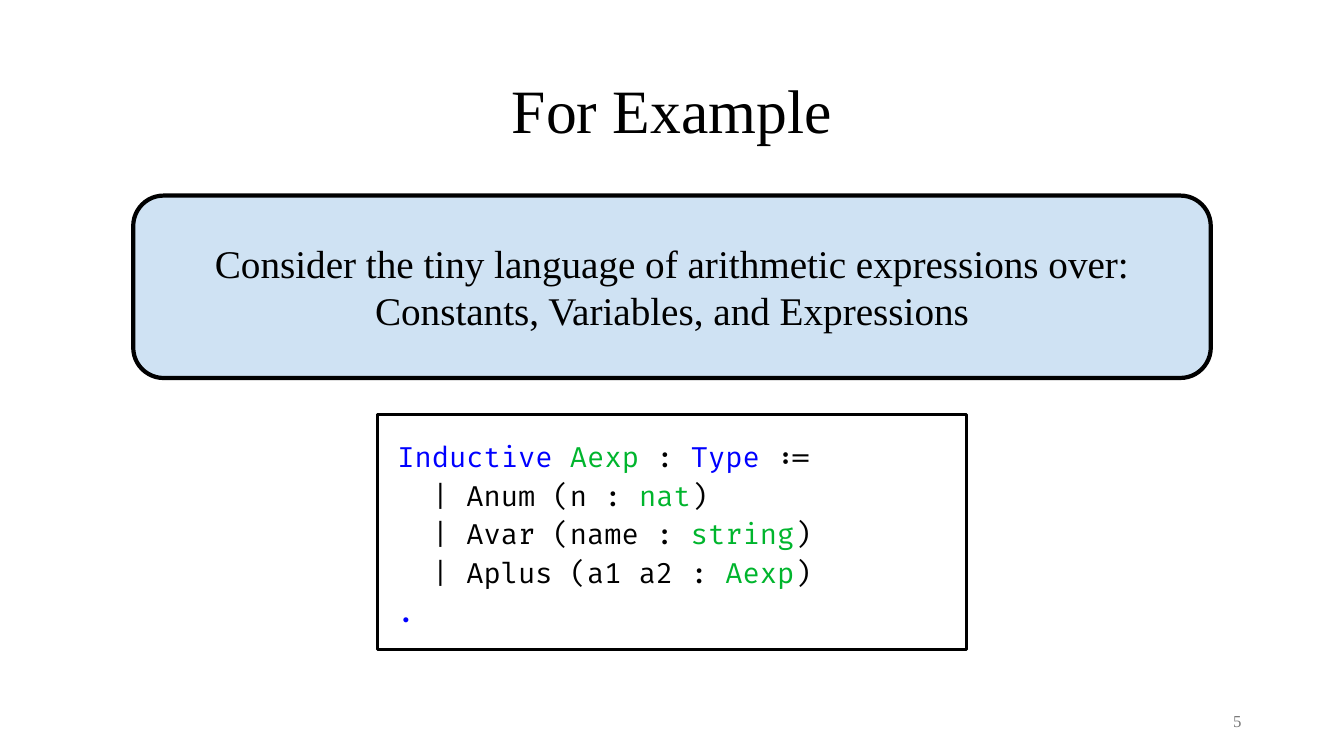
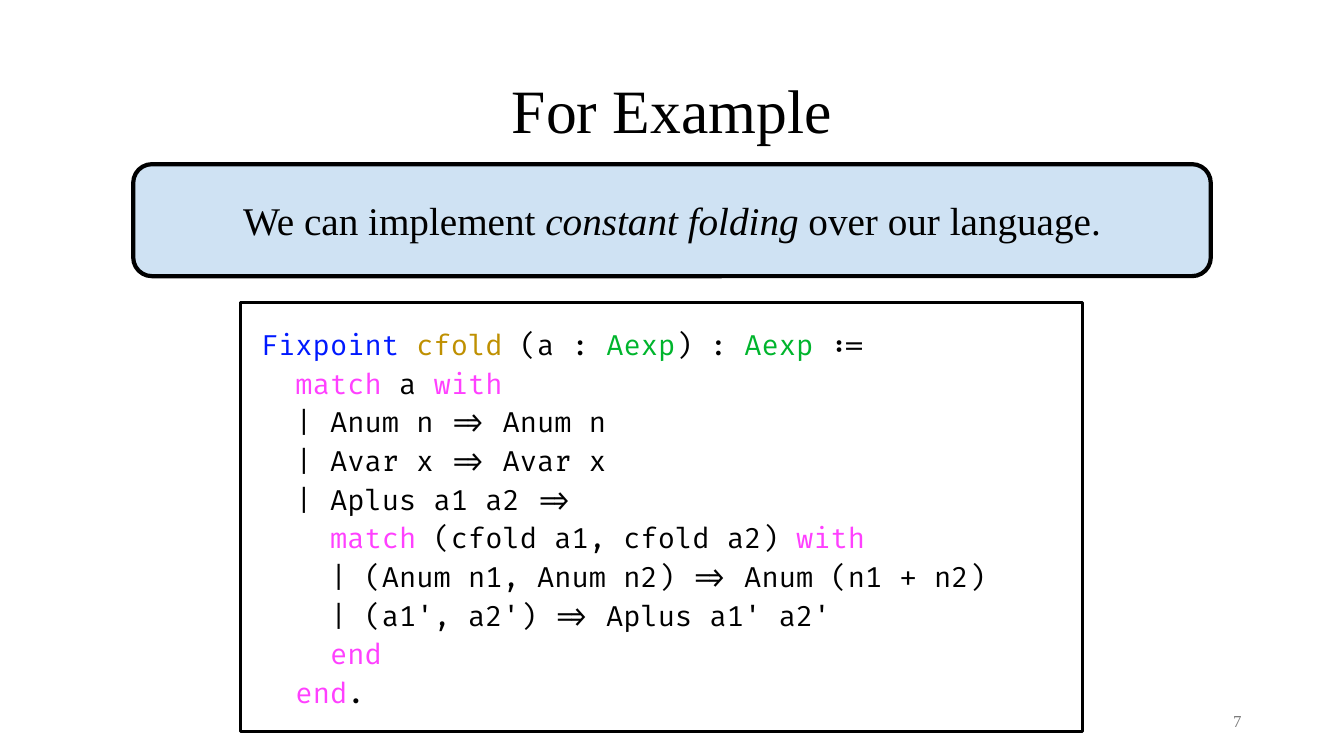
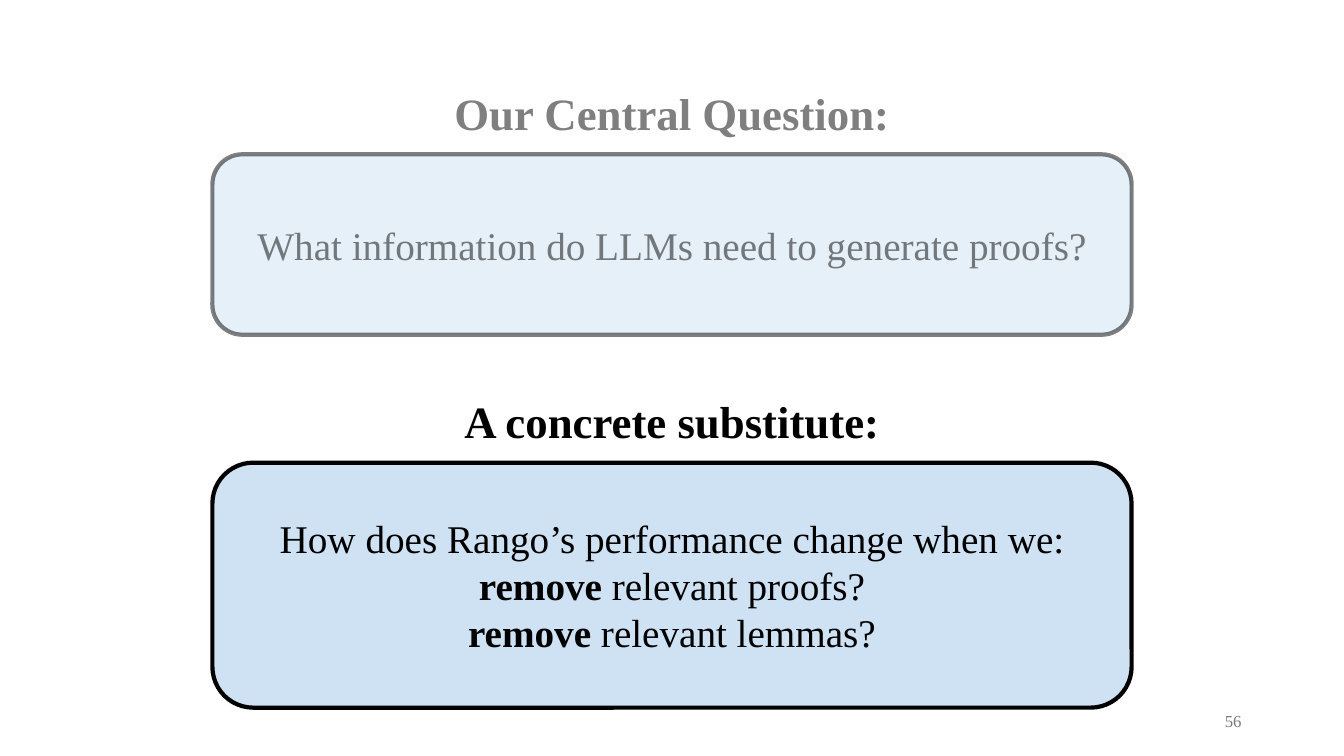
"""Build three slides on arithmetic expressions, constant folding and the central question."""
from dataclasses import dataclass

from lxml.etree import SubElement
from pptx import Presentation
from pptx.dml.color import RGBColor
from pptx.enum.shapes import MSO_SHAPE
from pptx.enum.text import MSO_ANCHOR, MSO_AUTO_SIZE, PP_ALIGN
from pptx.oxml.ns import qn
from pptx.util import Pt

SLIDE_WIDTH, SLIDE_HEIGHT = 960, 540
SERIF, MONO = "Times New Roman", "Fira Code"
COLORS = {
    "ink": "000000",
    "card": "CFE2F3",
    "page": "797979",
    "command": "0000FF",
    "fixpoint": "0019FF",
    "type": "00B52D",
    "function": "BF9001",
    "match": "FF40FF",
}


@dataclass(frozen=True)
class Span:
    text: str
    color: str = "ink"
    bold: bool = False
    italic: bool = False


Lines = list[list[Span]]


@dataclass(frozen=True)
class Box:
    left: float
    top: float
    width: float
    height: float

    def place(self, shape) -> None:
        shape.left, shape.top = Pt(self.left), Pt(self.top)
        shape.width, shape.height = Pt(self.width), Pt(self.height)

    def lengths(self) -> list[Pt]:
        return [Pt(v) for v in (self.left, self.top, self.width, self.height)]


@dataclass(frozen=True)
class Style:
    size: float
    font: str = SERIF
    align: PP_ALIGN = PP_ALIGN.CENTER
    anchor: MSO_ANCHOR = MSO_ANCHOR.MIDDLE
    spacing: float = 1.0
    inset: float | None = None


TITLE = Style(44, spacing=0.9)
HEADING = Style(32, anchor=MSO_ANCHOR.TOP)
CARD = Style(28, inset=7.2)
CODE = Style(20, MONO, PP_ALIGN.LEFT, MSO_ANCHOR.TOP, 1.15, 14.4)
PAGE = Style(12, align=PP_ALIGN.RIGHT)


def centred(top: float, width: float, height: float, shift: float = 0) -> Box:
    return Box((SLIDE_WIDTH - width) / 2 + shift, top, width, height)


TITLE_BOX = centred(28.8, 828, 104.4)
PAGE_BOX = Box(678, 500.4, 216, 28.8)


def rgb(name: str) -> RGBColor:
    return RGBColor.from_string(COLORS[name])


def write(shape, lines: Lines, style: Style) -> None:
    frame = shape.text_frame
    frame.word_wrap = True
    frame.auto_size = MSO_AUTO_SIZE.NONE
    frame.vertical_anchor = style.anchor
    if style.inset is not None:
        frame.margin_left = frame.margin_right = Pt(style.inset)
        frame.margin_top = frame.margin_bottom = Pt(style.inset)
    for index, spans in enumerate(lines):
        paragraph = frame.add_paragraph() if index else frame.paragraphs[0]
        paragraph.alignment = style.align
        paragraph.line_spacing = style.spacing
        for span in spans:
            run = paragraph.add_run()
            run.text = span.text
            run.font.name, run.font.size = style.font, Pt(style.size)
            run.font.bold, run.font.italic = span.bold, span.italic
            run.font.color.rgb = rgb(span.color)


def fade(shape) -> None:
    for color in list(shape._element.iter(qn("a:srgbClr"))):
        SubElement(color, qn("a:alpha")).set("val", "50000")


def add_title(slide, title: Span, box: Box = TITLE_BOX, style: Style = TITLE):
    heading = slide.shapes.title
    box.place(heading)
    write(heading, [[title]], style)
    return heading


def add_label(slide, box: Box, label: Span, style: Style) -> None:
    write(slide.shapes.add_textbox(*box.lengths()), [[label]], style)


def add_panel(slide, kind: MSO_SHAPE, box: Box, border: float, lines: Lines, style: Style):
    panel = slide.shapes.add_shape(kind, *box.lengths())
    panel.shadow.inherit = False
    panel.line.color.rgb = rgb("ink")
    panel.line.width = Pt(border)
    write(panel, lines, style)
    return panel


def add_card(slide, box: Box, lines: Lines):
    card = add_panel(slide, MSO_SHAPE.ROUNDED_RECTANGLE, box, 3, lines, CARD)
    card.fill.solid()
    card.fill.fore_color.rgb = rgb("card")
    return card


def add_code(slide, box: Box, lines: Lines) -> None:
    listing = add_panel(slide, MSO_SHAPE.RECTANGLE, box, 2, lines, CODE)
    listing.fill.background()


def new_slide(deck, page: int):
    slide = deck.slides.add_slide(deck.slide_layouts[5])
    add_label(slide, PAGE_BOX, Span(str(page), "page"), PAGE)
    return slide


def build_language(deck) -> None:
    slide = new_slide(deck, 5)
    add_title(slide, Span("For Example"))
    add_card(slide, centred(139.7, 769.7, 130.3), [[Span(
        "Consider the tiny language of arithmetic expressions over: "
        "Constants, Variables, and Expressions")]])
    add_code(slide, centred(296, 421.2, 167.8), [
        [Span("Inductive ", "command"), Span("Aexp ", "type"), Span(":"),
         Span(" Type ", "command"), Span(":=")],
        [Span("  | Anum (n : "), Span("nat", "type"), Span(")")],
        [Span("  | Avar (name : "), Span("string", "type"), Span(")")],
        [Span("  | Aplus (a1 a2 : "), Span("Aexp", "type"), Span(")")],
        [Span(".", "command")],
    ])


def build_folding(deck) -> None:
    slide = new_slide(deck, 7)
    add_title(slide, Span("For Example"))
    add_card(slide, centred(117.3, 769.7, 80), [[
        Span("We can implement "), Span("constant folding", italic=True),
        Span(" over our language.")]])
    add_code(slide, centred(216, 601.2, 306.7, shift=-7.4), [
        [Span("Fixpoint ", "fixpoint"), Span("cfold", "function"), Span(" (a : "),
         Span("Aexp", "type"), Span(") : "), Span("Aexp", "type"), Span(" :=")],
        [Span("  "), Span("match", "match"), Span(" a "), Span("with", "match")],
        [Span("  | Anum n => Anum n")],
        [Span("  | Avar x => Avar x")],
        [Span("  | Aplus a1 a2 =>")],
        [Span("    "), Span("match", "match"), Span(" (cfold a1, cfold a2) "),
         Span("with", "match")],
        [Span("    | (Anum n1, Anum n2) => Anum (n1 + n2)")],
        [Span("    | (a1', a2') => Aplus a1' a2'")],
        [Span("    "), Span("end", "match")],
        [Span("  "), Span("end", "match"), Span(".")],
    ])


def build_question(deck) -> None:
    slide = new_slide(deck, 56)
    question = add_title(slide, Span("Our Central Question:", bold=True),
                         centred(57.6, 362, 46), HEADING)
    information = add_card(slide, centred(110.2, 656.6, 128.9), [[
        Span("What information do LLMs need to generate proofs?")]])
    for faded in (question, information):
        fade(faded)
    add_label(slide, centred(278, 362, 46),
              Span("A concrete substitute:", bold=True), HEADING)
    add_card(slide, centred(330.5, 656.6, 175), [
        [Span("How does Rango’s performance change when we: "),
         Span("remove ", bold=True), Span("relevant proofs?")],
        [Span("remove ", bold=True), Span("relevant lemmas?")],
    ])


def main() -> None:
    deck = Presentation()
    deck.slide_width, deck.slide_height = Pt(SLIDE_WIDTH), Pt(SLIDE_HEIGHT)
    for build in (build_language, build_folding, build_question):
        build(deck)
    deck.save("out.pptx")


if __name__ == "__main__":
    main()
